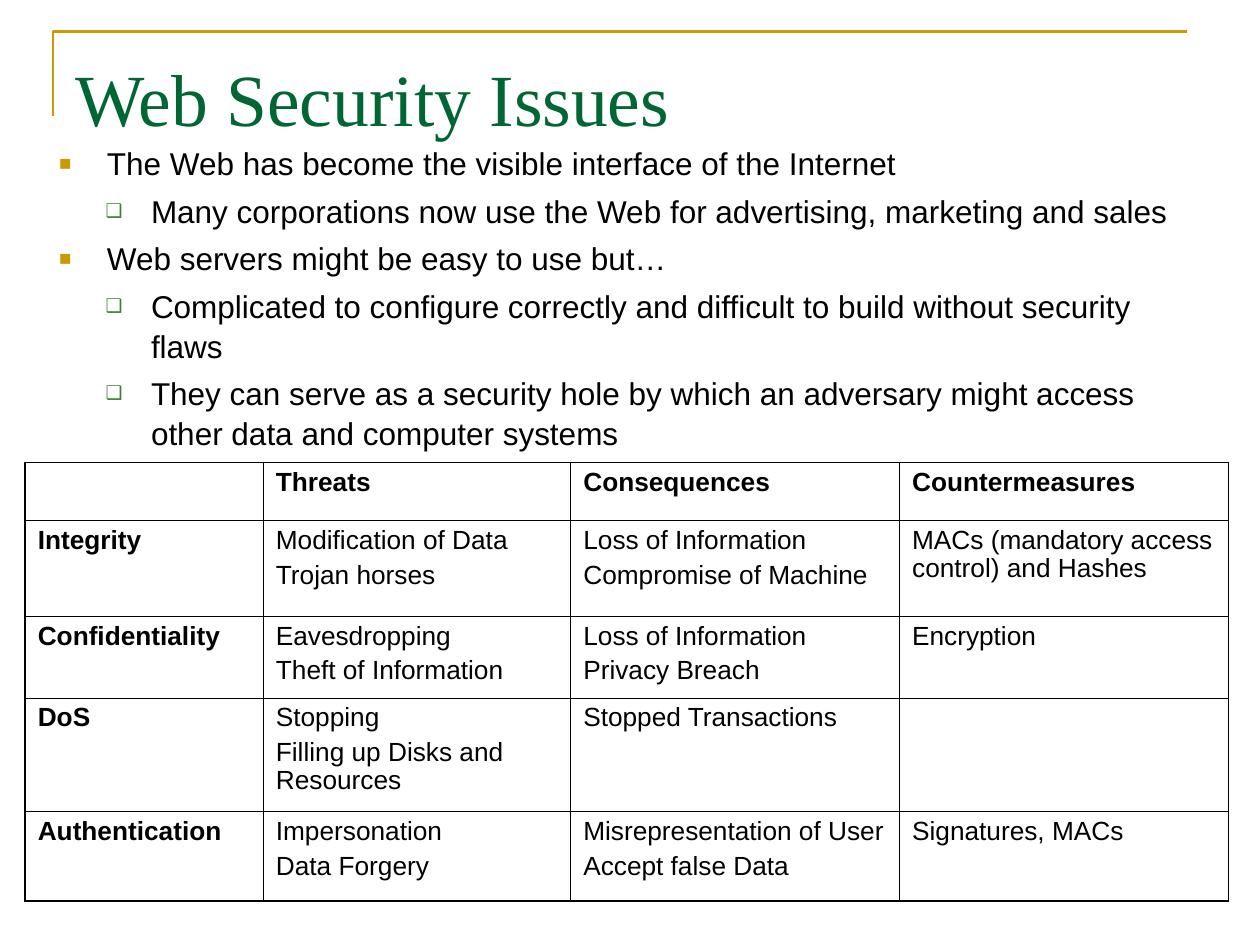
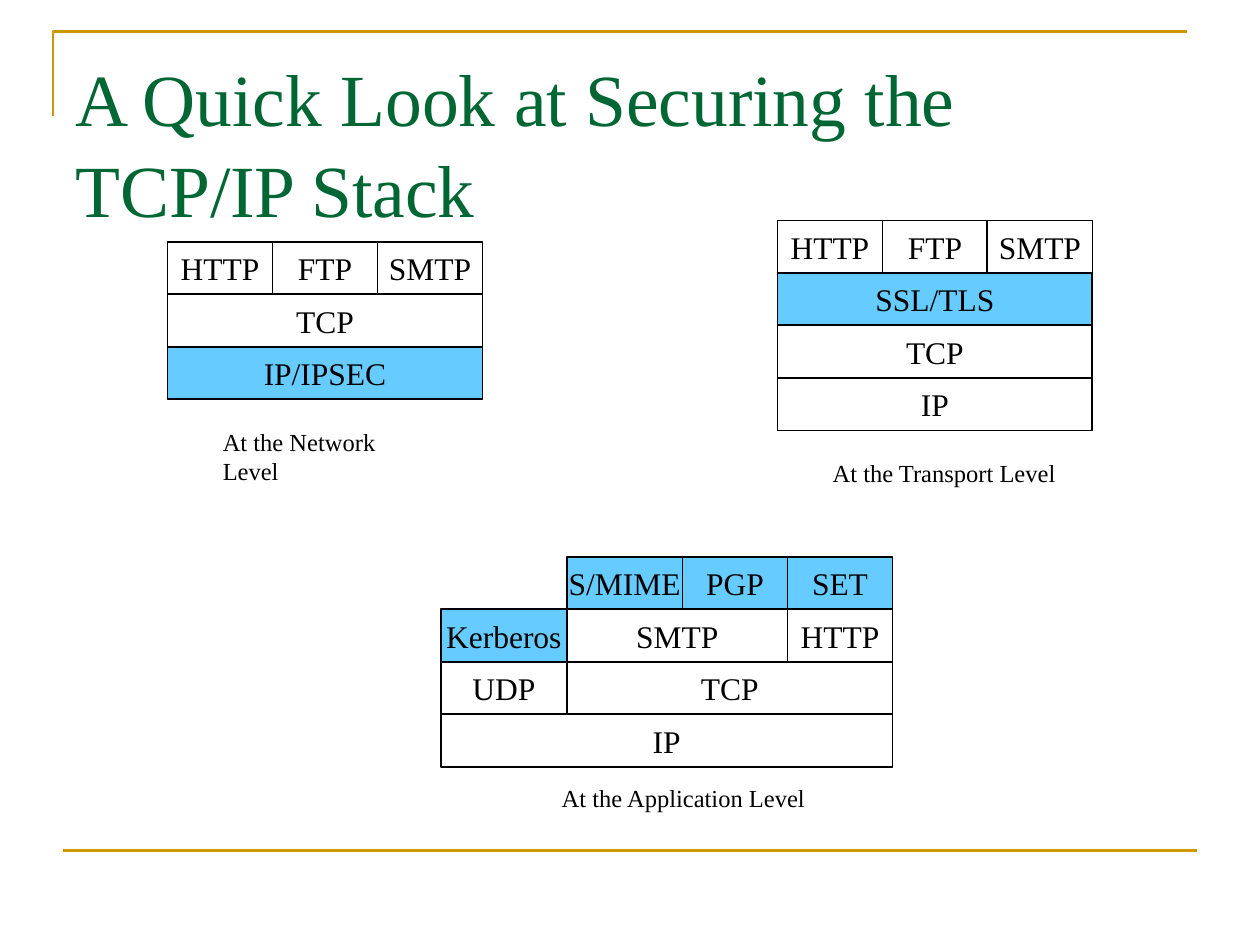
from dataclasses import dataclass

from lxml.etree import SubElement
from pptx import Presentation
from pptx.dml.color import RGBColor
from pptx.enum.shapes import MSO_CONNECTOR, MSO_SHAPE
from pptx.enum.text import MSO_ANCHOR, PP_ALIGN
from pptx.oxml.ns import qn
from pptx.util import Inches, Pt


@dataclass(frozen=True)
class Theme:
    serif: str = "Times New Roman"
    sans: str = "Arial"
    gold: str = "CC9900"
    title: str = "006633"
    sub_bullet: str = "3B812F"
    ink: str = "000000"
    paper: str = "FFFFFF"
    secured: str = "66CCFF"
    title_size: float = 42
    body_size: float = 18
    table_size: float = 15
    caption_size: float = 14
    rule: float = 1.5
    layer_line: float = 1
    outer_border: float = 1.08
    inner_border: float = 0.45


THEME = Theme()

# Per level: character, colour, size in percent, left margin, hanging indent
BULLETS = [
    ("■", THEME.gold, 65, 0.38, 0.38),
    ("❑", THEME.sub_bullet, 60, 0.73, 0.36),
]

ISSUES = [
    (0, "The Web has become the visible interface of the Internet"),
    (1, "Many corporations now use the Web for advertising, marketing and sales"),
    (0, "Web servers might be easy to use but…"),
    (1, "Complicated to configure correctly and difficult to build without security flaws"),
    (1, "They can serve as a security hole by which an adversary might access "
        "other data and computer systems"),
]

THREAT_COLUMNS = [1.89, 2.44, 2.61, 2.61]
THREAT_ROWS = [0.46, 0.76, 0.65, 0.9, 0.71]
THREATS = [
    ["", "Threats", "Consequences", "Countermeasures"],
    ["Integrity", "Modification of Data\nTrojan horses",
     "Loss of Information\nCompromise of Machine",
     "MACs (mandatory access control) and Hashes"],
    ["Confidentiality", "Eavesdropping\nTheft of Information",
     "Loss of Information\nPrivacy Breach", "Encryption"],
    ["DoS", "Stopping\nFilling up Disks and Resources", "Stopped Transactions", ""],
    ["Authentication", "Impersonation\nData Forgery",
     "Misrepresentation of User\nAccept false Data", "Signatures, MACs"],
]

# Stack layers are (label, width in twelfths of an inch); None leaves a gap
TWELFTH = 1 / 12
LAYER_HEIGHT = 5 * TWELFTH
SECURED = {"IP/IPSEC", "SSL/TLS", "S/MIME", "PGP", "SET", "Kerberos"}
APPLICATIONS = [("HTTP", 10), ("FTP", 10), ("SMTP", 10)]
NETWORK_STACK = [APPLICATIONS, [("TCP", 30)], [("IP/IPSEC", 30)]]
TRANSPORT_STACK = [APPLICATIONS, [("SSL/TLS", 30)], [("TCP", 30)], [("IP", 30)]]
APPLICATION_STACK = [
    [(None, 12), ("S/MIME", 11), ("PGP", 10), ("SET", 10)],
    [("Kerberos", 12), ("SMTP", 21), ("HTTP", 10)],
    [("UDP", 12), ("TCP", 31)],
    [("IP", 43)],
]


def rgb(color):
    return RGBColor.from_string(color)


def box_lengths(box):
    return [Inches(value) for value in box]


def write_text(frame, text, font=THEME.serif, size=THEME.body_size, color=THEME.ink,
               bold=False, align=PP_ALIGN.LEFT, space_before=0, spacing=1.0, levels=None):
    """Fill a text frame with one paragraph per line; levels turn on bullets."""
    for index, line in enumerate(text.split("\n")):
        paragraph = frame.add_paragraph() if index else frame.paragraphs[0]
        paragraph.alignment = align
        paragraph.line_spacing = spacing
        paragraph.space_before = Pt(space_before if index else 0)
        if levels:
            add_bullet(paragraph, levels[index])
        run = paragraph.add_run()
        run.text = line
        run.font.name = font
        run.font.size = Pt(size)
        run.font.bold = bold
        run.font.color.rgb = rgb(color)


def add_bullet(paragraph, level):
    character, color, percent, margin, hanging = BULLETS[level]
    paragraph.level = level
    properties = paragraph._p.get_or_add_pPr()
    properties.set("marL", str(Inches(margin)))
    properties.set("indent", str(-Inches(hanging)))
    bullet_color = SubElement(properties, qn("a:buClr"))
    SubElement(bullet_color, qn("a:srgbClr"), val=color)
    SubElement(properties, qn("a:buSzPct"), val=str(percent * 1000))
    SubElement(properties, qn("a:buFont"), typeface=THEME.sans)
    SubElement(properties, qn("a:buChar"), char=character)


def add_text_box(slide, box, text, wrap=True, top_inset=0.05, **text_format):
    frame = slide.shapes.add_textbox(*box_lengths(box)).text_frame
    frame.word_wrap = wrap
    frame.margin_top = Inches(top_inset)
    write_text(frame, text, **text_format)


def style_line(shape, color, width):
    shape.line.color.rgb = rgb(color)
    shape.line.width = Pt(width)


def add_frame(slide, box):
    """Draw the gold corner above the title and the footer rule."""
    left, top, width, height = box
    corner_points = [(left, top), (left + width, top)]
    builder = slide.shapes.build_freeform(Inches(left), Inches(top + 0.67))
    builder.add_line_segments(
        [(Inches(x), Inches(y)) for x, y in corner_points], close=False)
    corner = builder.convert_to_shape()
    corner.fill.background()
    corner.shadow.inherit = False
    style_line(corner, THEME.gold, THEME.rule)

    rule_left, rule_top = left + 0.08, top + height
    footer_rule = slide.shapes.add_connector(
        MSO_CONNECTOR.STRAIGHT,
        *box_lengths((rule_left, rule_top, rule_left + width, rule_top)))
    SubElement(footer_rule._element.spPr, qn("a:effectLst"))
    style_line(footer_rule, THEME.gold, THEME.rule)


def add_titled_slide(presentation, title):
    slide = presentation.slides.add_slide(presentation.slide_layouts[6])
    add_frame(slide, (0.42, 0.25, 9, 6.5))
    add_text_box(slide, (0.5, 0.3, 9, 1.25), title, top_inset=0.09,
                 size=THEME.title_size, color=THEME.title, spacing=1.04)
    return slide


def set_border(cell, side, width):
    properties = cell._tc.get_or_add_tcPr()
    line = SubElement(properties, qn(f"a:ln{side}"), w=str(Pt(width)))
    fill = SubElement(line, qn("a:solidFill"))
    SubElement(fill, qn("a:srgbClr"), val=THEME.ink)


def add_threat_table(slide, box):
    row_count, column_count = len(THREATS), len(THREATS[0])
    table = slide.shapes.add_table(row_count, column_count, *box_lengths(box)).table
    for column, width in zip(table.columns, THREAT_COLUMNS):
        column.width = Inches(width)
    for row, height in zip(table.rows, THREAT_ROWS):
        row.height = Inches(height)
    for row_index, texts in enumerate(THREATS):
        for column_index, text in enumerate(texts):
            cell = table.cell(row_index, column_index)
            outer_sides = {
                "L": column_index == 0,
                "R": column_index == column_count - 1,
                "T": row_index == 0,
                "B": row_index == row_count - 1,
            }
            for side, is_outer in outer_sides.items():
                set_border(cell, side, THEME.outer_border if is_outer else THEME.inner_border)
            cell.fill.solid()
            cell.fill.fore_color.rgb = rgb(THEME.paper)
            if text:
                write_text(cell.text_frame, text, font=THEME.sans, size=THEME.table_size,
                           bold=row_index == 0 or column_index == 0,
                           space_before=3.7, spacing=0.97)


def add_layer(slide, box, label):
    layer = slide.shapes.add_shape(MSO_SHAPE.RECTANGLE, *box_lengths(box))
    layer.shadow.inherit = False
    if label in SECURED:
        layer.fill.solid()
        layer.fill.fore_color.rgb = rgb(THEME.secured)
    else:
        layer.fill.background()
    style_line(layer, THEME.ink, THEME.layer_line)
    layer.text_frame.word_wrap = False
    layer.text_frame.vertical_anchor = MSO_ANCHOR.MIDDLE
    write_text(layer.text_frame, label, align=PP_ALIGN.CENTER)


def add_stack(slide, left, top, rows, caption, caption_box):
    """Draw layers downward from a corner; caption_box is left, gap below, width."""
    for row_index, row in enumerate(rows):
        x = left
        for label, twelfths in row:
            width = twelfths * TWELFTH
            if label:
                add_layer(slide, (x, top + row_index * LAYER_HEIGHT, width, LAYER_HEIGHT), label)
            x += width
    caption_left, gap, caption_width = caption_box
    bottom = top + len(rows) * LAYER_HEIGHT
    add_text_box(slide, (left + caption_left, bottom + gap, caption_width, 0.34), caption,
                 wrap=False, size=THEME.caption_size)


def build_issues_slide(presentation):
    slide = add_titled_slide(presentation, "Web Security Issues")
    add_text_box(slide, (0.37, 1.08, 9.22, 5.67), "\n".join(text for _, text in ISSUES),
                 font=THEME.sans, space_before=4.5, spacing=1.05,
                 levels=[level for level, _ in ISSUES])
    add_threat_table(slide, (0.2, 3.67, sum(THREAT_COLUMNS), sum(THREAT_ROWS)))


def build_stacks_slide(presentation):
    slide = add_titled_slide(presentation, "A Quick Look at Securing the TCP/IP Stack")
    add_stack(slide, 1.33, 1.92, NETWORK_STACK, "At the Network Level", (0.34, 0.17, 1.9))
    add_stack(slide, 6.17, 1.75, TRANSPORT_STACK, "At the Transport Level", (0.34, 0.17, 1.98))
    add_stack(slide, 3.5, 4.42, APPLICATION_STACK, "At the Application Level",
              (0.86, 0.08, 2.14))


def main():
    presentation = Presentation()
    presentation.slide_width = Inches(10)
    presentation.slide_height = Inches(7.5)
    build_issues_slide(presentation)
    build_stacks_slide(presentation)
    presentation.save("out.pptx")


if __name__ == "__main__":
    main()
